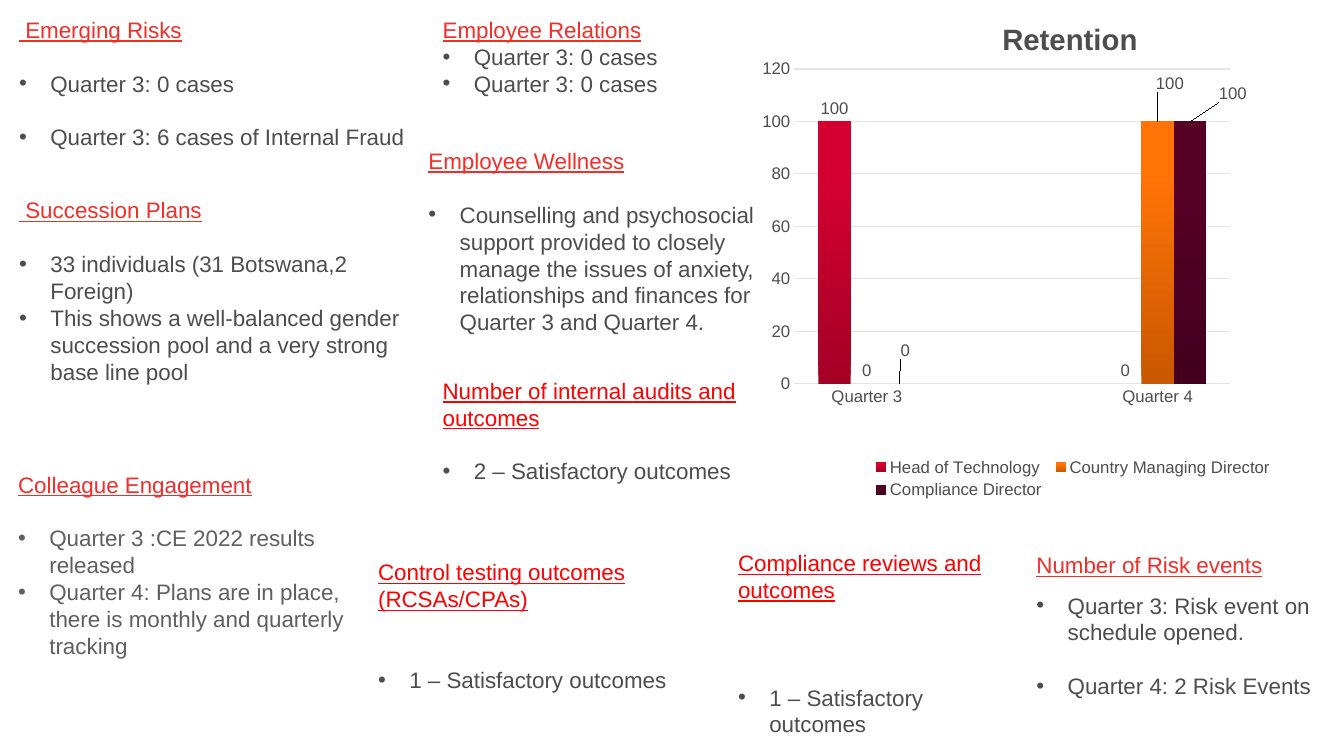
from lxml import etree
from pptx import Presentation
from pptx.chart.data import CategoryChartData
from pptx.dml.color import RGBColor
from pptx.enum.chart import XL_CHART_TYPE, XL_LABEL_POSITION, XL_LEGEND_POSITION, XL_TICK_MARK
from pptx.oxml import parse_xml
from pptx.oxml.ns import nsdecls, qn
from pptx.util import Inches, Pt

FONT = "Arial"
RED = RGBColor(0xF5, 0x2D, 0x28)
BRIGHT_RED = RGBColor(0xFF, 0x00, 0x00)
DARK = RGBColor(0x4D, 0x4D, 0x4D)
GREY = RGBColor(0x5F, 0x5F, 0x5F)
GRID = RGBColor(0xE4, 0xE4, 0xE4)
LINE = 19.2  # height of one text line, in points

# heading, heading colour, box, body colour, [(blank lines before, bullet text)]
SECTIONS = [
    (" Emerging Risks", RED, (0.19, 0.16, 4.2, 1.79), DARK,
     [(1, "Quarter 3: 0 cases"), (1, "Quarter 3: 6 cases of Internal Fraud")]),
    (" Succession Plans", RED, (0.19, 1.95, 3.88, 2.03), DARK,
     [(1, "33 individuals (31 Botswana,2 Foreign)"),
      (0, "This shows a well-balanced gender succession pool and a very strong base line pool")]),
    ("Employee Relations", RED, (4.39, 0.16, 4.75, 0.93), DARK,
     [(0, "Quarter 3: 0 cases"), (0, "Quarter 3: 0 cases")]),
    ("Colleague Engagement", RED, (0.18, 4.67, 3.75, 1.92), GREY,
     [(1, "Quarter 3 :CE 2022 results released"),
      (0, "Quarter 4: Plans are in place, there is monthly and quarterly tracking")]),
    ("Number of Risk events", RED, (10.28, 5.47, 3.37, 2.03), DARK,
     [(0.5, "Quarter 3: Risk event on schedule opened."), (1, "Quarter 4: 2 Risk Events")]),
    ("Employee Wellness", RED, (4.25, 1.46, 3.73, 2.08), DARK,
     [(1, "Counselling and psychosocial support provided to closely manage the issues of "
          "anxiety, relationships and finances for Quarter 3 and Quarter 4.")]),
    ("Number of internal audits and outcomes", BRIGHT_RED, (4.39, 3.74, 3.45, 1.3), DARK,
     [(1, "2 – Satisfactory outcomes")]),
    ("Control testing outcomes (RCSAs/CPAs)", BRIGHT_RED, (3.75, 5.54, 3.28, 1.79), DARK,
     [(2, "1 – Satisfactory outcomes")]),
    ("Compliance reviews and outcomes", BRIGHT_RED, (7.32, 5.45, 2.78, 2.03), DARK,
     [(3, "1 – Satisfactory outcomes")]),
]

# name, values, bottom colour, top colour, {point: label offset}
SERIES = [
    ("Head of Technology", (100, None, 0), "A40025", "D50030", {}),
    ("Country Managing Director", (0, None, 100), "C95800", "FF7307", {2: (0.02, -0.05)}),
    ("Compliance Director", (0, None, 100), "43001D", "570025",
     {0: (0.01, -0.04), 2: (0.07, -0.03)}),
]


def set_font(font, size, color, bold=False):
    font.name, font.size, font.bold = FONT, Pt(size), bold
    font.color.rgb = color


def add_bullet(para):
    properties = para._p.get_or_add_pPr()
    properties.set("marL", str(Inches(0.31)))
    properties.set("indent", str(Inches(-0.31)))
    etree.SubElement(properties, qn("a:buFont")).set("typeface", FONT)
    etree.SubElement(properties, qn("a:buChar")).set("char", "•")


def add_section(slide, heading, heading_color, box, body_color, bullets):
    frame = slide.shapes.add_textbox(*map(Inches, box)).text_frame
    frame.word_wrap = True
    frame.margin_left = frame.margin_top = frame.margin_right = frame.margin_bottom = 0
    title = frame.paragraphs[0]
    title.text = heading
    set_font(title.font, 16, heading_color)
    title.font.underline = True
    for blank_lines, text in bullets:
        para = frame.add_paragraph()
        para.text = text
        add_bullet(para)
        para.space_before = Pt(blank_lines * LINE)
        set_font(para.font, 16, body_color)


def manual_layout(x, y, width=None, height=None, inner=False):
    """Return a c:layout; without a size, x and y are offsets."""
    parts = '<c:layoutTarget val="inner"/>' if inner else ""
    if width:
        parts += '<c:xMode val="edge"/><c:yMode val="edge"/>'
    parts += f'<c:x val="{x}"/><c:y val="{y}"/>'
    if width:
        parts += f'<c:w val="{width}"/><c:h val="{height}"/>'
    return parse_xml(f'<c:layout {nsdecls("c")}><c:manualLayout>{parts}'
                     '</c:manualLayout></c:layout>')


def style_axes(chart):
    for axis in (chart.category_axis, chart.value_axis):
        axis.major_tick_mark = axis.minor_tick_mark = XL_TICK_MARK.NONE
        set_font(axis.tick_labels.font, 12, DARK)
    values = chart.value_axis
    values.minimum_scale, values.maximum_scale, values.major_unit = 0, 120, 20
    values.format.line.fill.background()
    for line in (chart.category_axis.format.line, values.major_gridlines.format.line):
        line.color.rgb = GRID
        line.width = Pt(0.75)


def style_series(series, bottom, top, offsets):
    fill = series.format.fill
    fill.gradient()
    fill.gradient_angle = 90
    for stop, position, color in zip(fill.gradient_stops, (0, 0.8), (bottom, top)):
        stop.position = position
        stop.color.rgb = RGBColor.from_string(color)
    labels = series.data_labels
    labels.show_value = True
    labels.position = XL_LABEL_POSITION.OUTSIDE_END
    set_font(labels.font, 12, DARK)
    for point, offset in offsets.items():
        label = series.points[point].data_label
        set_font(label.font, 12, DARK)
        label.position = XL_LABEL_POSITION.OUTSIDE_END
        label._dLbl.find(qn("c:idx")).addnext(manual_layout(*offset))


def add_retention_chart(slide, box):
    data = CategoryChartData()
    data.categories = ["Quarter 3", "", "Quarter 4"]
    for name, values, *_ in SERIES:
        data.add_series(name, values)
    chart = slide.shapes.add_chart(
        XL_CHART_TYPE.COLUMN_CLUSTERED, *map(Inches, box), data).chart
    set_font(chart.font, 10, DARK)
    title = chart.chart_title.text_frame.paragraphs[0]
    title.text = "Retention"
    set_font(title.font, 21, DARK, bold=True)

    plot = chart.plots[0]
    plot.gap_width, plot.overlap, plot.vary_by_categories = 150, 0, False
    for series, (_, _, bottom, top, offsets) in zip(plot.series, SERIES):
        style_series(series, bottom, top, offsets)
    style_axes(chart)

    chart.has_legend = True
    legend = chart.legend
    legend.position = XL_LEGEND_POSITION.BOTTOM
    legend.include_in_layout = False
    set_font(legend.font, 12, DARK)
    legend._element.find(qn("c:legendPos")).addnext(manual_layout(0.17, 0.9, 0.67, 0.1))

    area = chart._chartSpace.chart.plotArea
    for layout in area.findall(qn("c:layout")):
        area.remove(layout)
    area.insert(0, manual_layout(0.05, 0.137, 0.712, 0.625, inner=True))


def main():
    deck = Presentation()
    deck.slide_width, deck.slide_height = Inches(13.33), Inches(7.5)
    slide = deck.slides.add_slide(deck.slide_layouts[6])
    for section in SECTIONS:
        add_section(slide, *section)
    add_retention_chart(slide, (7.56, 0, 6.09, 5))
    deck.save("out.pptx")


if __name__ == "__main__":
    main()
